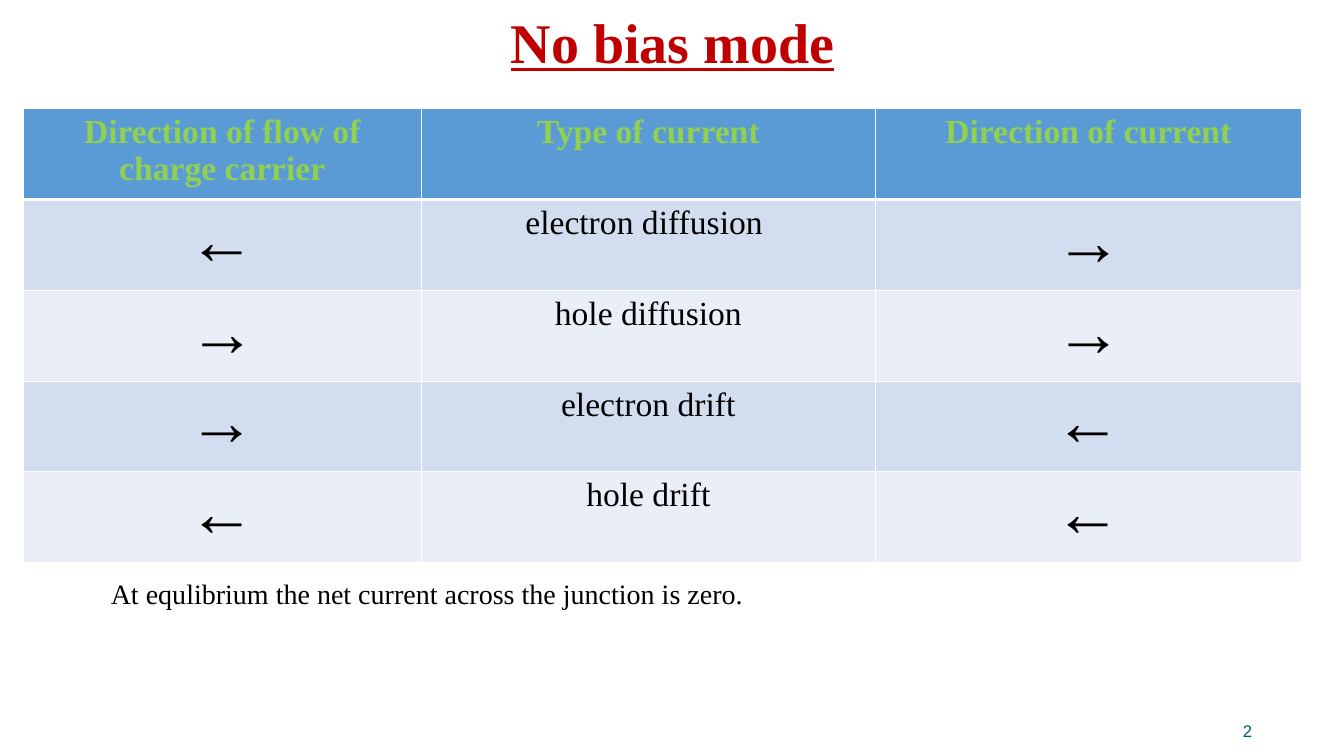
from lxml.etree import SubElement
from pptx import Presentation
from pptx.dml.color import RGBColor
from pptx.enum.text import MSO_ANCHOR, PP_ALIGN
from pptx.oxml.ns import qn
from pptx.util import Emu, Pt

SERIF, SANS = "Times New Roman", "Arial"
HEADER_FILL, BAND_FILLS = "5B9BD5", ("D2DEEF", "EAEFF7")
COLUMN_WIDTHS = (395, 450, 423)
HEADER_HEIGHT, ROW_HEIGHT = 90, 74
HEADINGS = ("Direction of flow of charge carrier", "Type of current", "Direction of current")
# carrier arrow and its font, current type, current arrow and its font
CURRENTS = (
    ("←", SERIF, "electron diffusion ", "→", SANS),
    ("→", SANS, "hole diffusion", "→", SANS),
    ("→", SERIF, "electron drift", "←", SERIF),
    ("←", SERIF, "hole drift", "←", SERIF),
)


def px(length):
    """Convert px, at 100 to the inch, to EMU."""
    return Emu(length * 9144)


def rgb(hex_color):
    return RGBColor.from_string(hex_color)


def write(frame, text, size, font=SERIF, color="000000", bold=False, align=PP_ALIGN.CENTER):
    paragraph = frame.paragraphs[0]
    paragraph.text = text
    paragraph.alignment = align
    paragraph.font.size = Pt(size)
    paragraph.font.name = font
    paragraph.font.bold = bold
    paragraph.font.color.rgb = rgb(color)
    return paragraph


def add_text_frame(slide, box, insets, anchor):
    frame = slide.shapes.add_textbox(*map(px, box)).text_frame
    frame.word_wrap = True
    frame.vertical_anchor = anchor
    frame.margin_left, frame.margin_top, frame.margin_right, frame.margin_bottom = map(px, insets)
    return frame


def add_title(slide, box):
    frame = add_text_frame(slide, box, (0, 5, 0, 0), MSO_ANCHOR.BOTTOM)
    title = write(frame, "No bias mode", 40, color="C00000", bold=True)
    title.font.underline = True
    title.line_spacing = 0.9


def add_slide_number(slide, box):
    frame = add_text_frame(slide, box, (0, 0, 0, 0), MSO_ANCHOR.BOTTOM)
    write(frame, "2", 12, SANS, "045C75", align=PP_ALIGN.RIGHT)


def add_conclusion(slide, box):
    frame = add_text_frame(slide, box, (10, 5, 10, 5), MSO_ANCHOR.TOP)
    write(frame, "At equlibrium the net current across the junction is zero.", 20,
          align=PP_ALIGN.LEFT)


def style_cell(cell, fill, bottom_width=1):
    """Set the margins, white borders and fill of a cell."""
    cell.margin_left = cell.margin_right = px(13)
    cell.margin_top = cell.margin_bottom = px(5)
    properties = cell._tc.get_or_add_tcPr()
    for side, width in (("L", 1), ("R", 1), ("T", 1), ("B", bottom_width)):
        border = SubElement(properties, qn(f"a:ln{side}"), w=str(Pt(width)))
        solid = SubElement(border, qn("a:solidFill"))
        SubElement(solid, qn("a:srgbClr"), val="FFFFFF")
    cell.fill.solid()
    cell.fill.fore_color.rgb = rgb(fill)


def add_current_table(slide, left, top):
    heights = [HEADER_HEIGHT] + [ROW_HEIGHT] * len(CURRENTS)
    table = slide.shapes.add_table(
        len(heights), len(COLUMN_WIDTHS),
        px(left), px(top), px(sum(COLUMN_WIDTHS)), px(sum(heights))).table
    for column, width in zip(table.columns, COLUMN_WIDTHS):
        column.width = px(width)
    for row, height in zip(table.rows, heights):
        row.height = px(height)

    for cell, heading in zip(table.rows[0].cells, HEADINGS):
        style_cell(cell, HEADER_FILL, bottom_width=3)
        write(cell.text_frame, heading, 24, color="92D050", bold=True)
    for index, (carrier, carrier_font, kind, current, current_font) in enumerate(CURRENTS):
        entries = ((carrier, 48, carrier_font), (kind, 24, SERIF), (current, 48, current_font))
        for cell, (text, size, font) in zip(table.rows[index + 1].cells, entries):
            style_cell(cell, BAND_FILLS[index % 2])
            write(cell.text_frame, text, size, font)


def main():
    presentation = Presentation()
    presentation.slide_width, presentation.slide_height = px(1333), px(750)
    slide = presentation.slides.add_slide(presentation.slide_layouts[6])
    add_title(slide, (67, 0, 1200, 75))
    add_slide_number(slide, (942, 695, 300, 40))
    add_current_table(slide, 23, 108)
    add_conclusion(slide, (100, 567, 1065, 44))
    presentation.save("out.pptx")


if __name__ == "__main__":
    main()
